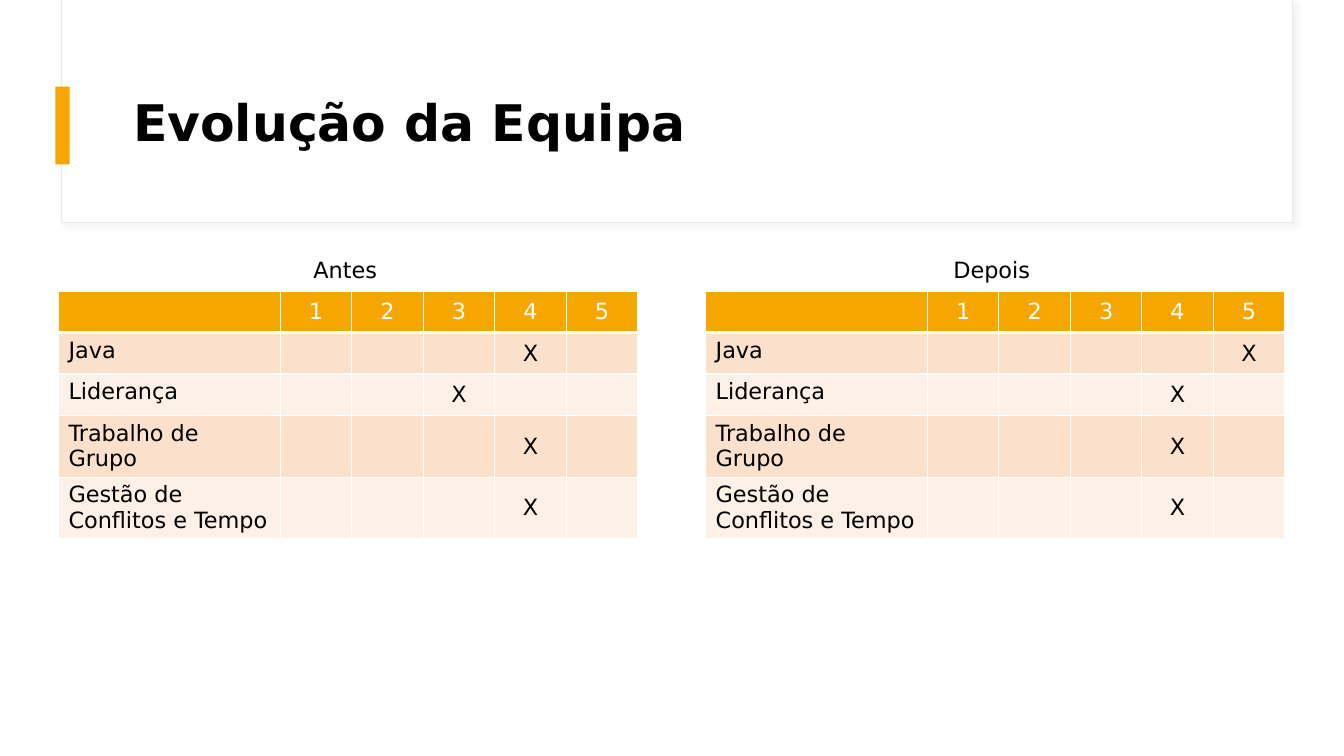
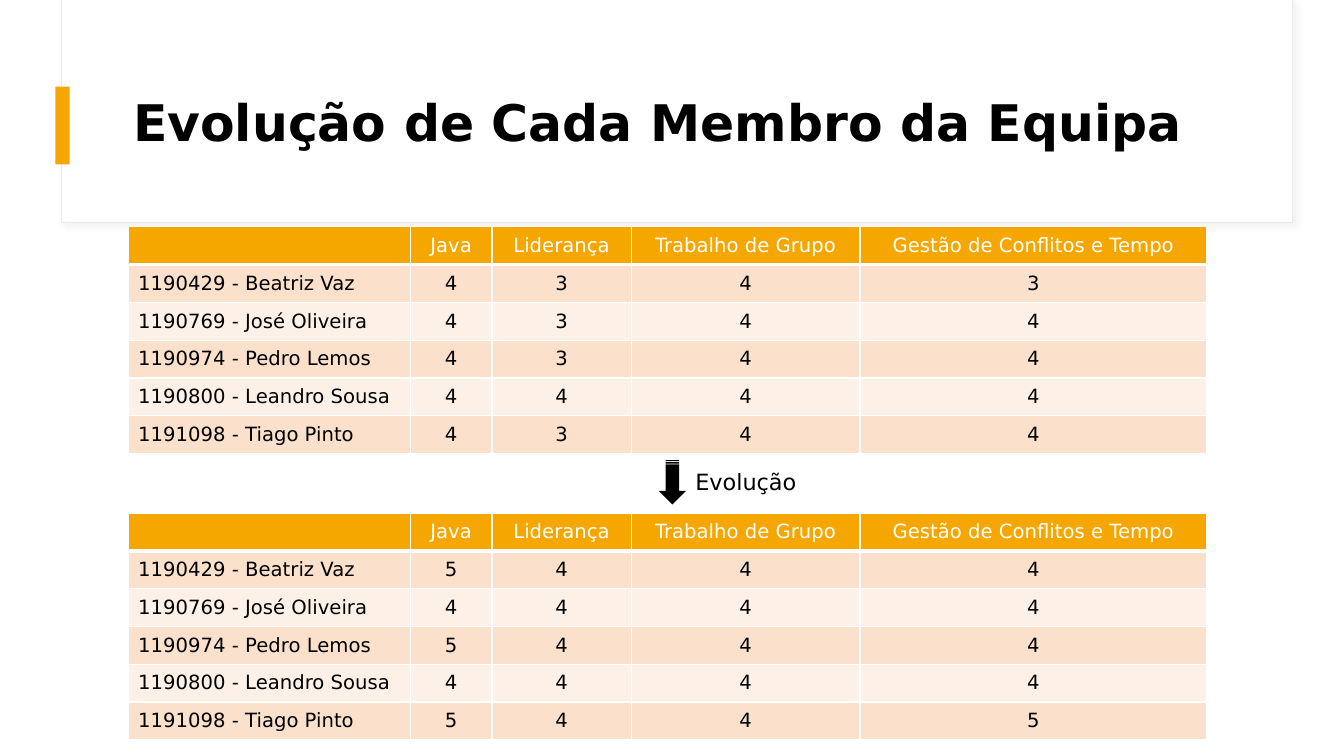
from lxml.etree import SubElement
from pptx import Presentation
from pptx.dml.color import RGBColor
from pptx.enum.shapes import MSO_SHAPE
from pptx.enum.text import MSO_ANCHOR, MSO_AUTO_SIZE, PP_ALIGN
from pptx.oxml.ns import qn
from pptx.util import Inches, Pt

COLORS = {
    "gold": "F5A700",
    "peach": "FBE1CC",
    "cream": "FDF1E7",
    "white": "FFFFFF",
    "black": "000000",
    "edge": "E9E9E9",
    "shade": "D9D9D9",
}
FONT = "DejaVu Sans"


def rgb(name):
    return RGBColor.from_string(COLORS[name])


def write(frame, text, size=16, color="black", bold=False, align=PP_ALIGN.LEFT,
          anchor=MSO_ANCHOR.TOP, space=None):
    para = frame.paragraphs[0]
    para.alignment = align
    para.line_spacing = space
    frame.vertical_anchor = anchor
    if not text:
        SubElement(para._p, qn("a:endParaRPr"), sz=str(size * 100))
        return
    run = para.add_run()
    run.text = text
    font = run.font
    font.name, font.size, font.bold = FONT, Pt(size), bold
    font.color.rgb = rgb(color)


class Deck:
    def __init__(self):
        self.file = Presentation()
        self.file.slide_width = Inches(13.33)
        self.file.slide_height = Inches(7.5)
        self.layout = self.file.slide_layouts[5]
        for holder in list(self.layout.placeholders)[1:]:
            holder.element.getparent().remove(holder.element)
        self.page = None

    def across(self, share):
        return round(self.file.slide_width * share / 100)

    def down(self, share):
        return round(self.file.slide_height * share / 100)

    def box(self, left, top, width, height):
        return self.across(left), self.down(top), self.across(width), self.down(height)

    def slide(self, title, width):
        self.page = self.file.slides.add_slide(self.layout)
        head = self.page.shapes.title
        head.left, head.top, head.width, head.height = self.box(9.15, 8, width, 17.2)
        frame = head.text_frame
        frame.word_wrap = True
        frame.auto_size = MSO_AUTO_SIZE.NONE
        write(frame, title, size=36, bold=True, anchor=MSO_ANCHOR.MIDDLE, space=0.9)

    def shape(self, kind, place, fill, line=None, turn=0):
        item = self.page.shapes.add_shape(kind, *self.box(*place))
        item.shadow.inherit = False
        item.rotation = turn
        item.fill.solid()
        item.fill.fore_color.rgb = rgb(fill)
        if line:
            item.line.color.rgb = rgb(line)
            item.line.width = Pt(0.75)
        else:
            item.line.fill.background()
        return item

    def band(self):
        rect = MSO_SHAPE.RECTANGLE
        back = self.shape(rect, (4.58, 0, 91.6, 29.47), "white", line="edge")
        glow = SubElement(back.element.spPr.find(qn("a:effectLst")), qn("a:outerShdw"),
                          blurRad=str(Pt(4)), dist=str(Pt(3)), dir="2700000")
        tint = SubElement(glow, qn("a:srgbClr"), val=COLORS["shade"])
        SubElement(tint, qn("a:alpha"), val="30000")
        front = self.shape(rect, (4.65, 0, 91.5, 29.33), "white")
        mark = self.shape(rect, (4.13, 11.47, 1.05, 10.27), "gold")
        tree = self.layout.shapes.element
        for spot, item in enumerate((back, front, mark), 2):
            tree.insert(spot, item.element)

    def label(self, text, left, top, width):
        item = self.page.shapes.add_textbox(*self.box(left, top, width, 4.93))
        item.text_frame.word_wrap = False
        item.text_frame.auto_size = MSO_AUTO_SIZE.SHAPE_TO_FIT_TEXT
        write(item.text_frame, text)

    def rule(self, cell, head):
        for side in "LRTB":
            width = 3 if head and side == "B" else 1
            line = SubElement(cell._tc.get_or_add_tcPr(), qn(f"a:ln{side}"), w=str(Pt(width)))
            fill = SubElement(line, qn("a:solidFill"))
            SubElement(fill, qn("a:srgbClr"), val=COLORS["white"])

    def table(self, rows, left, top, cols, height, size=16, first=MSO_ANCHOR.MIDDLE):
        place = self.box(left, top, sum(cols), height * len(rows))
        grid = self.page.shapes.add_table(len(rows), len(cols), *place).table
        for col, width in zip(grid.columns, cols):
            col.width = self.across(width)
        for r, row in enumerate(rows):
            grid.rows[r].height = self.down(height)
            fill = "gold" if r == 0 else ("cream", "peach")[r % 2]
            for c, text in enumerate(row):
                cell = grid.cell(r, c)
                self.rule(cell, r == 0)
                cell.fill.solid()
                cell.fill.fore_color.rgb = rgb(fill)
                write(cell.text_frame, text, size=size,
                      color="black" if r else "white",
                      align=PP_ALIGN.CENTER if c else PP_ALIGN.LEFT)
                cell.vertical_anchor = MSO_ANCHOR.MIDDLE if c else first


SKILLS = ["Java", "Liderança", "Trabalho de Grupo", "Gestão de Conflitos e Tempo"]
TEAM = ["1190429 - Beatriz Vaz", "1190769 - José Oliveira", "1190974 - Pedro Lemos",
        "1190800 - Leandro Sousa", "1191098 - Tiago Pinto"]


def levels(marks):
    rows = [["", *"12345"]]
    for skill, mark in zip(SKILLS, marks):
        rows.append([skill] + ["X" if n == mark else "" for n in range(1, 6)])
    return rows


def scores(marks):
    return [["", *SKILLS]] + [[name, *line] for name, line in zip(TEAM, marks)]


def main():
    deck = Deck()

    deck.slide("Evolução da Equipa", 83.4)
    deck.band()
    for marks, left in (((4, 3, 4, 4), 4.35), ((5, 4, 4, 4), 52.5)):
        deck.table(levels(marks), left, 38.53, [16.5] + [5.32] * 5, 5.47,
                   first=MSO_ANCHOR.TOP)
    deck.label("Antes", 22.58, 33.2, 6.3)
    deck.label("Depois", 70.2, 33.2, 7.2)

    deck.slide("Evolução de Cada Membro da Equipa", 80.93)
    before = ["4343", "4344", "4344", "4444", "4344"]
    after = ["5444", "4444", "5444", "4444", "5445"]
    for marks, top in ((before, 30), (after, 67.87)):
        deck.table(scores(marks), 9.53, top, [21, 6.08, 10.35, 17.03, 25.8], 5, size=14)
    deck.shape(MSO_SHAPE.STRIPED_RIGHT_ARROW, (48.38, 62, 3.3, 3.6), "black", turn=90)
    deck.label("Evolução", 51, 61.2, 9)

    deck.file.save("out.pptx")


if __name__ == "__main__":
    main()
